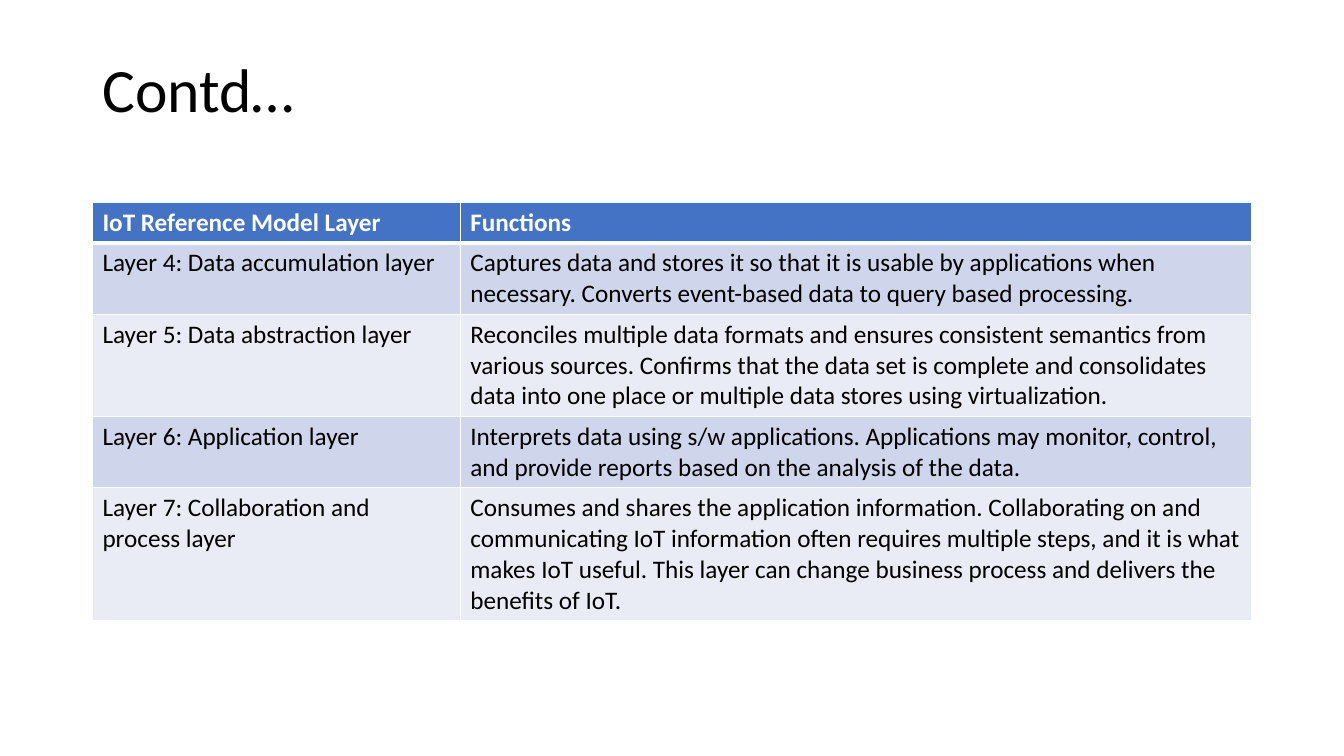
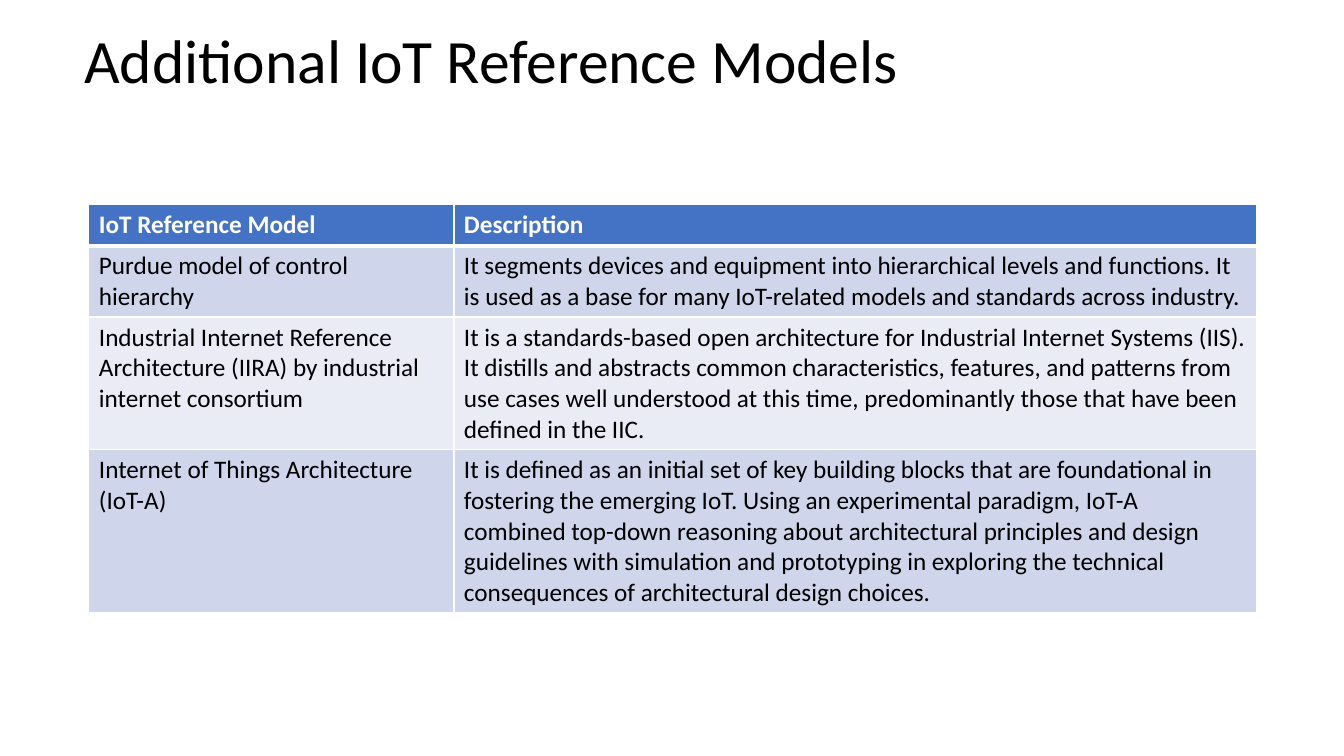
from lxml import etree
from pptx import Presentation
from pptx.dml.color import RGBColor
from pptx.enum.text import MSO_ANCHOR
from pptx.oxml.ns import qn
from pptx.util import Cm, Pt

MIDDLE = MSO_ANCHOR.MIDDLE
BLANK_LAYOUT = 6

LAYER_ROWS = [
    ("IoT Reference Model Layer", "Functions", 1),
    ("Layer 4: Data accumulation layer",
     "Captures data and stores it so that it is usable by applications when necessary. "
     "Converts event-based data to query based processing.", 2),
    ("Layer 5: Data abstraction layer",
     "Reconciles multiple data formats and ensures consistent semantics from various sources. "
     "Confirms that the data set is complete and consolidates data into one place or multiple "
     "data stores using virtualization.", 3),
    ("Layer 6: Application layer",
     "Interprets data using s/w applications. Applications may monitor, control, and provide "
     "reports based on the analysis of the data.", 2),
    ("Layer 7: Collaboration and process layer",
     "Consumes and shares the application information. Collaborating on and communicating IoT "
     "information often requires multiple steps, and it is what makes IoT useful. This layer can "
     "change business process and delivers the benefits of IoT.", 4),
]

MODEL_ROWS = [
    ("IoT Reference Model", "Description", 1),
    ("Purdue model of control hierarchy",
     "It segments devices and equipment into hierarchical levels and functions. It is used as a "
     "base for many IoT-related models and standards across industry.", 2),
    ("Industrial Internet Reference Architecture (IIRA) by industrial internet consortium",
     "It is a standards-based open architecture for Industrial Internet Systems (IIS). It distills "
     "and abstracts common characteristics, features, and patterns from use cases well understood "
     "at this time, predominantly those that have been defined in the IIC.", 4),
    ("Internet of Things Architecture (IoT-A)",
     "It is defined as an initial set of key building blocks that are foundational in fostering the "
     "emerging IoT. Using an experimental paradigm, IoT-A combined top-down reasoning about "
     "architectural principles and design guidelines with simulation and prototyping in exploring "
     "the technical consequences of architectural design choices.", 5),
]


class Deck:
    COLORS = {"text": "000000", "light": "FFFFFF", "header": "4472C4",
              "odd": "CFD5EA", "even": "E9EBF5"}
    FONTS = {
        "title": {"name": "Calibri", "size": Pt(44), "bold": False},
        "header": {"name": "Calibri", "size": Pt(18), "bold": True},
        "body": {"name": "Calibri", "size": Pt(18), "bold": False},
    }
    TITLE_FRAME = {"word_wrap": True, "vertical_anchor": MIDDLE}
    LINE_HEIGHT = 0.77
    ROW_PADDING = 0.26
    THIN, THICK = Pt(1), Pt(3)

    def __init__(self):
        self.presentation = Presentation()
        self.presentation.slide_width = Cm(33.87)
        self.presentation.slide_height = Cm(19.05)
        self.slide = None

    def rgb(self, color):
        return RGBColor.from_string(self.COLORS[color])

    def add_slide(self):
        layout = self.presentation.slide_layouts[BLANK_LAYOUT]
        self.slide = self.presentation.slides.add_slide(layout)

    def set_text(self, frame, text, style, color):
        paragraph = frame.paragraphs[0]
        paragraph.text = text
        for attribute, value in self.FONTS[style].items():
            setattr(paragraph.font, attribute, value)
        paragraph.font.color.rgb = self.rgb(color)
        return paragraph

    def title(self, text, left, top, width, height):
        frame = self.slide.shapes.add_textbox(Cm(left), Cm(top), Cm(width), Cm(height)).text_frame
        for attribute, value in self.TITLE_FRAME.items():
            setattr(frame, attribute, value)
        self.set_text(frame, text, "title", "text").line_spacing = 0.9

    def borders(self, cell, top, bottom):
        properties = cell._tc.get_or_add_tcPr()
        widths = {"a:lnL": self.THIN, "a:lnR": self.THIN, "a:lnT": top, "a:lnB": bottom}
        for side, width in widths.items():
            line = etree.SubElement(properties, qn(side), w=str(width))
            fill = etree.SubElement(line, qn("a:solidFill"))
            etree.SubElement(fill, qn("a:srgbClr"), val=self.COLORS["light"])

    def table(self, rows, left, top, widths):
        heights = [self.ROW_PADDING + self.LINE_HEIGHT * lines for *_, lines in rows]
        table = self.slide.shapes.add_table(
            len(rows), len(widths), Cm(left), Cm(top), Cm(sum(widths)), Cm(sum(heights))).table
        for column, width in zip(table.columns, widths):
            column.width = Cm(width)
        for index, (*texts, _) in enumerate(rows):
            table.rows[index].height = Cm(heights[index])
            is_header = index == 0
            style, color = ("header", "light") if is_header else ("body", "text")
            fill = "header" if is_header else ("even", "odd")[index % 2]
            for column, text in enumerate(texts):
                cell = table.cell(index, column)
                self.borders(cell, self.THICK if index == 1 else self.THIN,
                             self.THICK if is_header else self.THIN)
                cell.fill.solid()
                cell.fill.fore_color.rgb = self.rgb(fill)
                self.set_text(cell.text_frame, text, style, color)


def main():
    deck = Deck()

    deck.add_slide()
    deck.title("Contd…", 2.33, 1.01, 29.21, 2.65)
    deck.table(LAYER_ROWS, 2.33, 5.09, (9.27, 19.94))

    deck.add_slide()
    deck.title("Additional IoT Reference Models", 1.87, 0.38, 29.21, 2.44)
    deck.table(MODEL_ROWS, 2.24, 5.16, (9.2, 20.22))

    deck.presentation.save("out.pptx")


if __name__ == "__main__":
    main()
